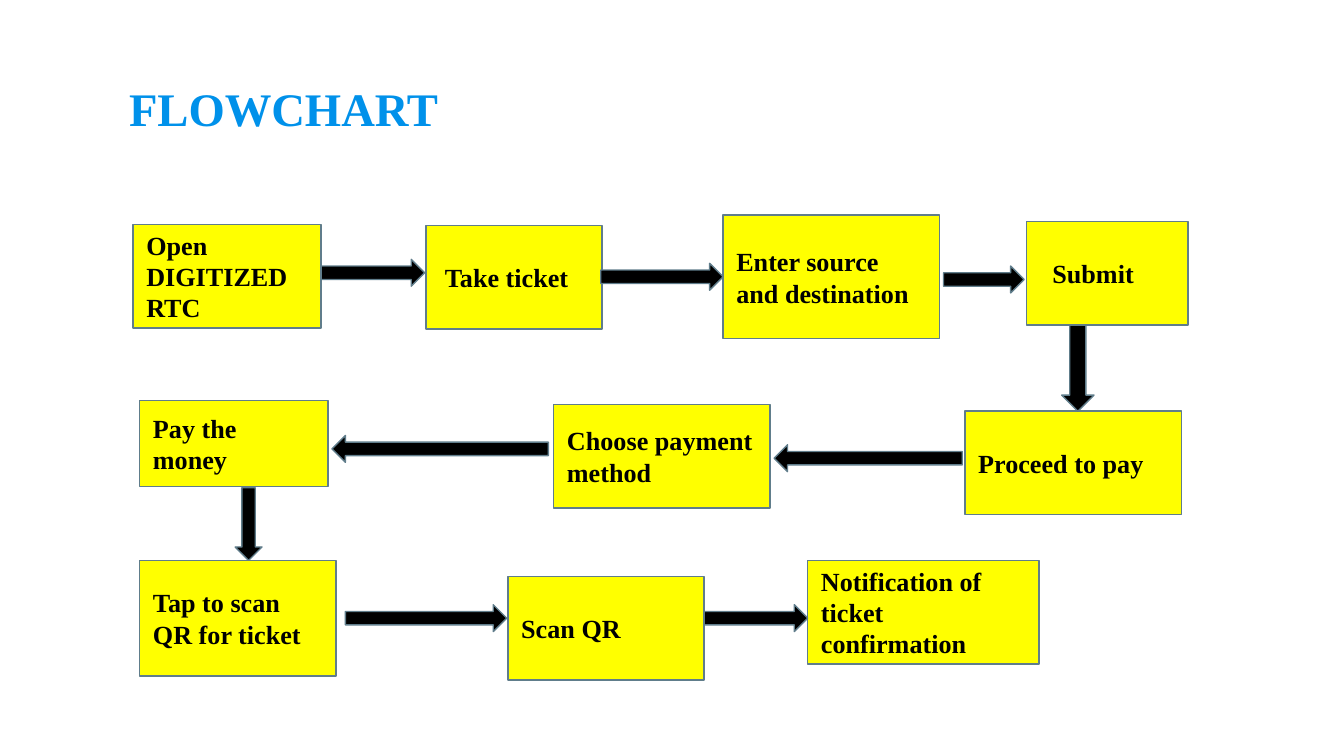
"""Build a slide with the flowchart of a digital ticket purchase."""
from dataclasses import dataclass

from pptx import Presentation
from pptx.dml.color import RGBColor
from pptx.enum.shapes import MSO_SHAPE
from pptx.enum.text import MSO_ANCHOR, MSO_AUTO_SIZE, PP_ALIGN
from pptx.shapes.autoshape import Shape
from pptx.slide import Slide
from pptx.text.text import TextFrame
from pptx.util import Inches, Pt

RECTANGLE = MSO_SHAPE.RECTANGLE
RIGHT = MSO_SHAPE.RIGHT_ARROW
LEFT = MSO_SHAPE.LEFT_ARROW
DOWN = MSO_SHAPE.DOWN_ARROW
ALIGN_LEFT = PP_ALIGN.LEFT
JUSTIFY = PP_ALIGN.JUSTIFY
MIDDLE = MSO_ANCHOR.MIDDLE
BOTTOM = MSO_ANCHOR.BOTTOM
NO_AUTO_SIZE = MSO_AUTO_SIZE.NONE

YELLOW = RGBColor(0xFF, 0xFF, 0x00)
BLACK = RGBColor(0x00, 0x00, 0x00)
SLATE = RGBColor(0x60, 0x7D, 0x8B)
BLUE = RGBColor(0x00, 0x91, 0xEA)
FONT = "Times New Roman"
MARGIN = 0.1


@dataclass(frozen=True)
class Step:
    text: str
    left: float
    top: float
    width: float
    height: float = 0.77
    indent: float = 0
    alignment: PP_ALIGN = ALIGN_LEFT


@dataclass(frozen=True)
class Arrow:
    kind: MSO_SHAPE
    left: float
    top: float
    width: float
    height: float = 0.2


STEPS = [
    Step("Open DIGITIZED RTC", 0.99, 1.67, 1.4, alignment=JUSTIFY),
    Step("Take ticket", 3.17, 1.68, 1.31, indent=0.04),
    Step("Enter source and destination", 5.38, 1.6, 1.61, 0.92),
    Step("Submit", 7.64, 1.65, 1.2, indent=0.09),
    Step("Proceed to pay", 7.18, 3.06, 1.61),
    Step("Choose payment method", 4.12, 3.01, 1.61),
    Step("Pay the money", 1.04, 2.98, 1.4, 0.64),
    Step("Tap to scan QR for ticket", 1.04, 4.17, 1.46, 0.86),
    Step("Scan QR", 3.78, 4.29, 1.46),
    Step("Notification of ticket confirmation", 6.01, 4.17, 1.72),
]
ARROWS = [
    Arrow(RIGHT, 2.39, 1.93, 0.77),
    Arrow(RIGHT, 2.57, 4.5, 1.2),
    Arrow(RIGHT, 5.24, 4.5, 0.77),
    Arrow(RIGHT, 7.02, 1.98, 0.6),
    Arrow(RIGHT, 4.47, 1.96, 0.91),
    Arrow(LEFT, 5.76, 3.31, 1.4),
    Arrow(LEFT, 2.47, 3.24, 1.61),
    Arrow(DOWN, 7.9, 2.42, 0.24, 0.64),
    Arrow(DOWN, 1.75, 3.63, 0.2, 0.54),
]


def write_text(frame: TextFrame, text: str, size: float, color: RGBColor,
               anchor: MSO_ANCHOR, alignment: PP_ALIGN = ALIGN_LEFT,
               indent: float = 0) -> None:
    frame.text = text
    frame.word_wrap = True
    frame.auto_size = NO_AUTO_SIZE
    frame.vertical_anchor = anchor
    frame.margin_left = Inches(MARGIN + indent)
    frame.margin_top = frame.margin_right = frame.margin_bottom = Inches(MARGIN)
    paragraph = frame.paragraphs[0]
    paragraph.alignment = alignment
    paragraph.font.name = FONT
    paragraph.font.size = Pt(size)
    paragraph.font.bold = True
    paragraph.font.color.rgb = color


def draw_shape(slide: Slide, kind: MSO_SHAPE, place: Step | Arrow,
               fill: RGBColor) -> Shape:
    shape = slide.shapes.add_shape(
        kind, Inches(place.left), Inches(place.top),
        Inches(place.width), Inches(place.height))
    shape.shadow.inherit = False
    shape.fill.solid()
    shape.fill.fore_color.rgb = fill
    shape.line.color.rgb = SLATE
    shape.line.width = Pt(0.75)
    return shape


def draw_step(slide: Slide, step: Step) -> None:
    shape = draw_shape(slide, RECTANGLE, step, YELLOW)
    write_text(shape.text_frame, step.text, 14, BLACK, MIDDLE,
               step.alignment, step.indent)


def draw_title(slide: Slide, text: str) -> None:
    title = slide.shapes.title
    title.left, title.top = Inches(0.86), Inches(0.34)
    title.width, title.height = Inches(8.28), Inches(0.77)
    write_text(title.text_frame, text, 25, BLUE, BOTTOM)


def main() -> None:
    presentation = Presentation()
    presentation.slide_width = Inches(10)
    presentation.slide_height = presentation.slide_width * 9 // 16
    slide = presentation.slides.add_slide(presentation.slide_layouts[5])
    draw_title(slide, "FLOWCHART")
    for step in STEPS:
        draw_step(slide, step)
    for arrow in ARROWS:
        draw_shape(slide, arrow.kind, arrow, BLACK)
    presentation.save("out.pptx")


if __name__ == "__main__":
    main()
